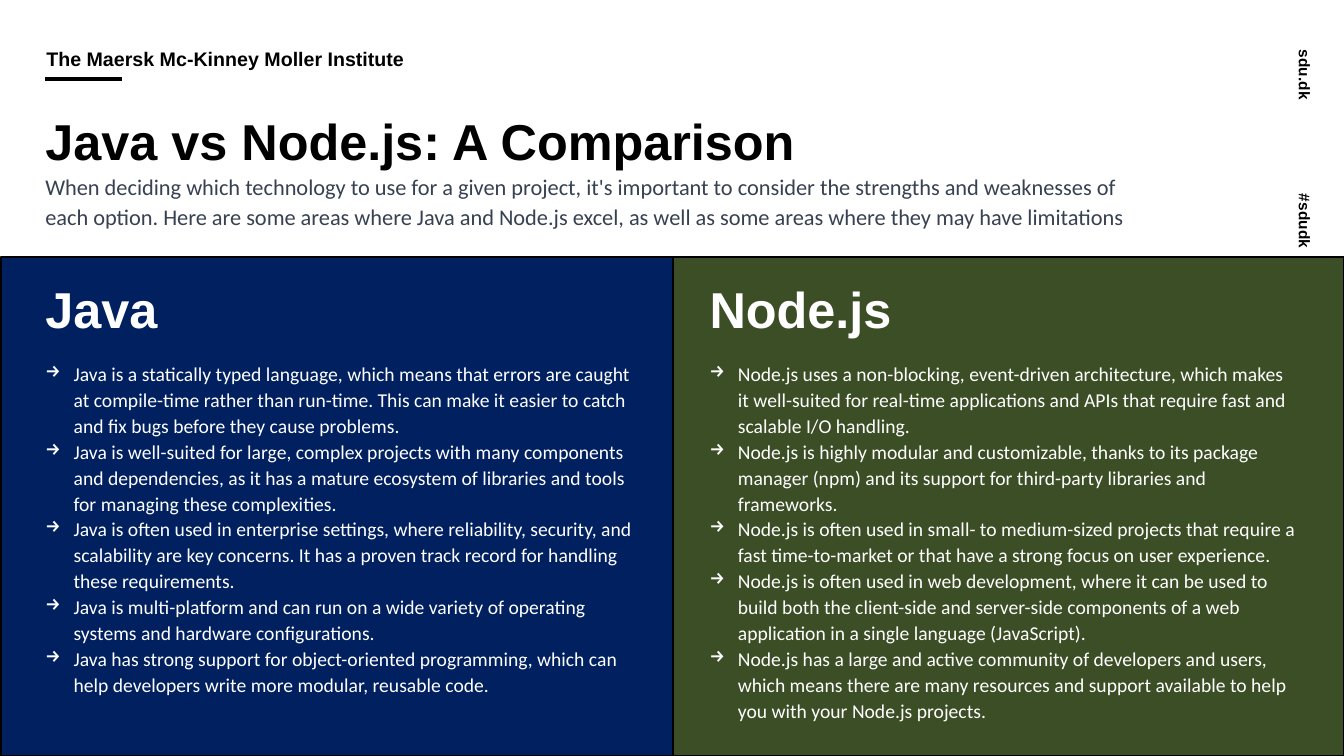
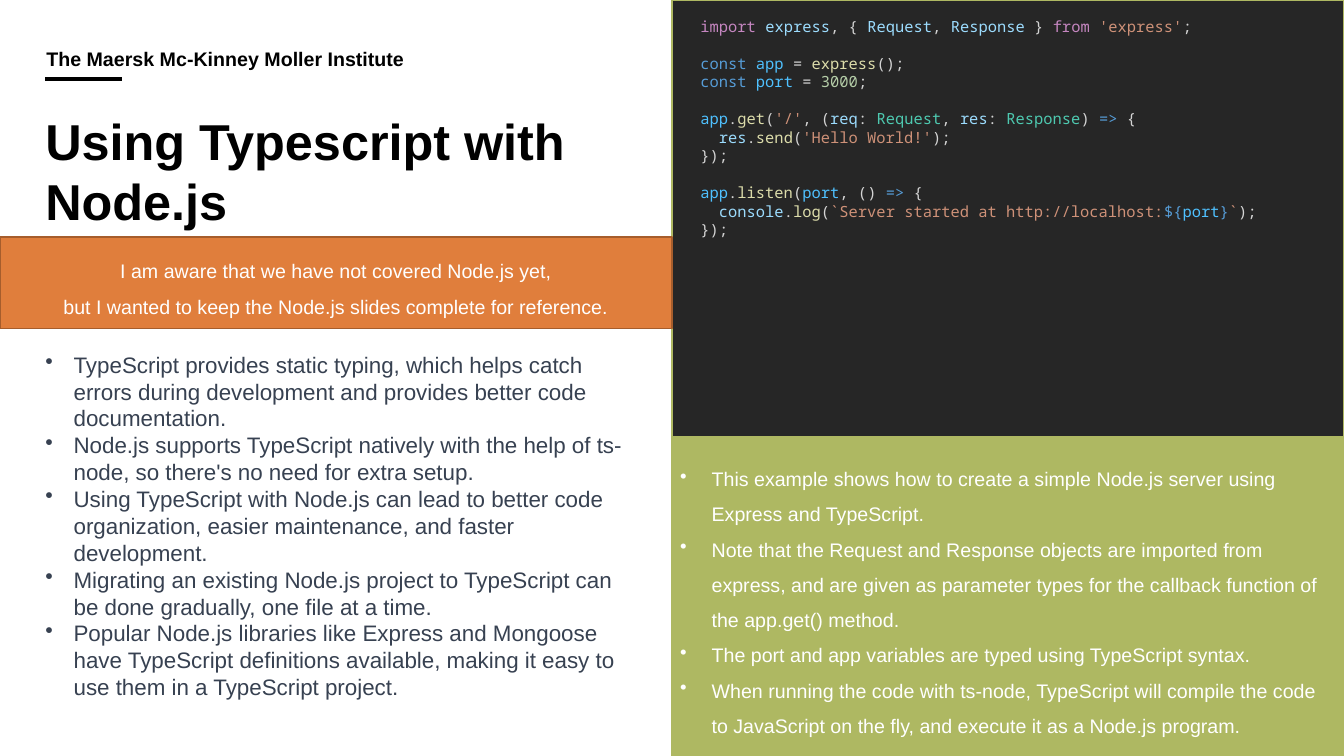
"""Build two slides that compare Java with Node.js and show TypeScript on Node.js."""
from lxml import etree
from pptx import Presentation
from pptx.dml.color import RGBColor
from pptx.enum import shapes, text
from pptx.oxml import ns
from pptx.util import Pt

BLACK = RGBColor(0x00, 0x00, 0x00)
WHITE = RGBColor(0xFF, 0xFF, 0xFF)
SLATE = RGBColor(0x37, 0x41, 0x51)
NAVY = RGBColor(0x00, 0x20, 0x60)
FOREST = RGBColor(0x3C, 0x4E, 0x25)
LIME = RGBColor(0xAE, 0xB8, 0x62)
CHARCOAL = RGBColor(0x26, 0x26, 0x26)
ORANGE = RGBColor(0xE0, 0x7E, 0x3C)
RUST = RGBColor(0xA6, 0x5D, 0x2C)

KEYWORD = RGBColor(0xC5, 0x86, 0xC0)
VARIABLE = RGBColor(0x9C, 0xDC, 0xFE)
PLAIN = RGBColor(0xD4, 0xD4, 0xD4)
STRING = RGBColor(0xCE, 0x91, 0x78)
STORAGE = RGBColor(0x56, 0x9C, 0xD6)
CONSTANT = RGBColor(0x4F, 0xC1, 0xFF)
FUNCTION = RGBColor(0xDC, 0xDC, 0xAA)
NUMBER = RGBColor(0xB5, 0xCE, 0xA8)
CLASS = RGBColor(0x4E, 0xC9, 0xB0)

WIDTH, HEIGHT = 960, 540
HALF = WIDTH / 2
MARGIN = 32.4
COLUMN = 421
LINE_HEIGHT = 1.2
HEADING = dict(size=36, bold=True)
SIDE_LABELS = [("sdu.dk", 56.9), ("#sdudk", 159.8)]

INTRO = ("When deciding which technology to use for a given project, it's important to "
         "consider the strengths and weaknesses of each option. Here are some areas where "
         "Java and Node.js excel, as well as some areas where they may have limitations")

JAVA_POINTS = [
    "Java is a statically typed language, which means that errors are caught at compile-time "
    "rather than run-time. This can make it easier to catch and fix bugs before they cause "
    "problems.",
    "Java is well-suited for large, complex projects with many components and dependencies, "
    "as it has a mature ecosystem of libraries and tools for managing these complexities.",
    "Java is often used in enterprise settings, where reliability, security, and scalability "
    "are key concerns. It has a proven track record for handling these requirements.",
    "Java is multi-platform and can run on a wide variety of operating systems and hardware "
    "configurations.",
    "Java has strong support for object-oriented programming, which can help developers write "
    "more modular, reusable code.",
]

NODE_POINTS = [
    "Node.js uses a non-blocking, event-driven architecture, which makes it well-suited for "
    "real-time applications and APIs that require fast and scalable I/O handling.",
    "Node.js is highly modular and customizable, thanks to its package manager (npm) and its "
    "support for third-party libraries and frameworks.",
    "Node.js is often used in small- to medium-sized projects that require a fast "
    "time-to-market or that have a strong focus on user experience.",
    "Node.js is often used in web development, where it can be used to build both the "
    "client-side and server-side components of a web application in a single language "
    "(JavaScript).",
    "Node.js has a large and active community of developers and users, which means there are "
    "many resources and support available to help you with your Node.js projects.",
]

TYPESCRIPT_POINTS = [
    "TypeScript provides static typing, which helps catch errors during development and "
    "provides better code documentation.",
    "Node.js supports TypeScript natively with the help of ts-node, so there's no need for "
    "extra setup.",
    "Using TypeScript with Node.js can lead to better code organization, easier maintenance, "
    "and faster development.",
    "Migrating an existing Node.js project to TypeScript can be done gradually, one file at a "
    "time.",
    "Popular Node.js libraries like Express and Mongoose have TypeScript definitions "
    "available, making it easy to use them in a TypeScript project.",
]

EXAMPLE_NOTES = [
    "This example shows how to create a simple Node.js server using Express and TypeScript.",
    "Note that the Request and Response objects are imported from express, and are given as "
    "parameter types for the callback function of the app.get() method.",
    "The port and app variables are typed using TypeScript syntax.",
    "When running the code with ts-node, TypeScript will compile the code to JavaScript on "
    "the fly, and execute it as a Node.js program.",
]

NOTICE = [
    "I am aware that we have not covered Node.js yet,",
    "but I wanted to keep the Node.js slides complete for reference.",
]

CODE = [
    [("import ", KEYWORD), ("express", VARIABLE), (", { ", PLAIN), ("Request", VARIABLE),
     (", ", PLAIN), ("Response", VARIABLE), (" } ", PLAIN), ("from ", KEYWORD),
     ("'express'", STRING), (";", PLAIN)],
    [("const ", STORAGE), ("app", CONSTANT), (" = ", PLAIN), ("express", FUNCTION),
     ("();", PLAIN)],
    [("const ", STORAGE), ("port", CONSTANT), (" = ", PLAIN), ("3000", NUMBER), (";", PLAIN)],
    [("app", CONSTANT), (".", PLAIN), ("get", FUNCTION), ("(", PLAIN), ("'/'", STRING),
     (", (", PLAIN), ("req", VARIABLE), (": ", PLAIN), ("Request", CLASS), (", ", PLAIN),
     ("res", VARIABLE), (": ", PLAIN), ("Response", CLASS), (") ", PLAIN), ("=>", STORAGE),
     (" {", PLAIN)],
    [("  res", VARIABLE), (".", PLAIN), ("send", FUNCTION), ("(", PLAIN),
     ("'Hello World!'", STRING), (");", PLAIN)],
    [("});", PLAIN)],
    [("app", CONSTANT), (".", PLAIN), ("listen", FUNCTION), ("(", PLAIN), ("port", CONSTANT),
     (", () ", PLAIN), ("=>", STORAGE), (" {", PLAIN)],
    [("  console", VARIABLE), (".", PLAIN), ("log", FUNCTION), ("(", PLAIN),
     ("`Server started at http://localhost:", STRING), ("${", STORAGE), ("port", CONSTANT),
     ("}", STORAGE), ("`", STRING), (");", PLAIN)],
    [("});", PLAIN)],
]
CODE_GAPS_BEFORE = (1, 3, 6)


def set_bullet(paragraph, mark, indent):
    """Give the paragraph a hanging bullet."""
    properties = paragraph._p.get_or_add_pPr()
    properties.set("marL", str(Pt(indent)))
    properties.set("indent", str(-Pt(indent)))
    etree.SubElement(properties, ns.qn("a:buChar")).set("char", mark)


def write(holder, paragraphs, *, size=14, font="Arial", color=BLACK, bold=False, spacing=1,
          align=text.PP_ALIGN.LEFT, anchor=text.MSO_ANCHOR.TOP, insets=(0, 0, 0, 0),
          bullet=None, indent=20.2, gaps_before=()):
    """Fill a shape with paragraphs, each a string or a list of coloured runs."""
    frame = holder.text_frame
    frame.word_wrap = True
    frame.vertical_anchor = anchor
    (frame.margin_left, frame.margin_top,
     frame.margin_right, frame.margin_bottom) = map(Pt, insets)
    pitch = Pt(size * LINE_HEIGHT * spacing)
    for index, content in enumerate(paragraphs):
        paragraph = frame.add_paragraph() if index else frame.paragraphs[0]
        if bullet:
            set_bullet(paragraph, bullet, indent)
        paragraph.alignment = align
        paragraph.line_spacing = pitch
        if index in gaps_before:
            paragraph.space_before = pitch
        runs = [(content, color)] if isinstance(content, str) else content
        for words, run_color in runs:
            run = paragraph.add_run()
            run.text = words
            run.font.size = Pt(size)
            run.font.name = font
            run.font.bold = bold
            run.font.color.rgb = run_color


def add_text(slide, box, paragraphs, **style):
    """Add a text box and return it."""
    holder = slide.shapes.add_textbox(*map(Pt, box))
    write(holder, paragraphs, **style)
    return holder


def add_panel(slide, box, fill, outline):
    """Add a flat coloured rectangle."""
    panel = slide.shapes.add_shape(shapes.MSO_SHAPE.RECTANGLE, *map(Pt, box))
    panel.shadow.inherit = False
    panel.fill.solid()
    panel.fill.fore_color.rgb = fill
    panel.line.color.rgb = outline
    panel.line.width = Pt(1)
    return panel


def add_slide(deck):
    """Add a blank slide with the institute header and its rule."""
    slide = deck.slides.add_slide(deck.slide_layouts[6])
    rule = slide.shapes.add_connector(shapes.MSO_CONNECTOR.STRAIGHT,
                                      Pt(MARGIN), Pt(56.2), Pt(87.1), Pt(56.2))
    rule.line.color.rgb = BLACK
    rule.line.width = Pt(3)
    etree.SubElement(rule._element.spPr, ns.qn("a:effectLst"))
    add_text(slide, (MARGIN, 35.3, 448, 22.3), ["The Maersk Mc-Kinney Moller Institute"],
             bold=True, spacing=0.9, anchor=text.MSO_ANCHOR.BOTTOM, insets=(0.7, 0, 0, 7.2))
    return slide


def add_title(slide, title, width, height):
    """Add the slide title."""
    add_text(slide, (MARGIN, 78.5, width, height), [title], **HEADING)


def build_comparison(deck):
    """Build the slide that sets Java beside Node.js."""
    slide = add_slide(deck)
    for label, top in SIDE_LABELS:
        side = add_text(slide, (904.3, top, 72, 29.5), [label], size=11, bold=True,
                        anchor=text.MSO_ANCHOR.BOTTOM)
        side.rotation = 90
    add_title(slide, "Java vs Node.js: A Comparison", 862, 55)
    add_text(slide, (MARGIN, 121.7, 795, 62), [INTRO],
             size=16, font="Calibri", color=SLATE, spacing=1.1)
    top = 183.6
    columns = [(HALF, 506.9, FOREST, "Node.js", NODE_POINTS),
               (0.7, MARGIN, NAVY, "Java", JAVA_POINTS)]
    for panel_left, left, fill, name, points in columns:
        add_panel(slide, (panel_left, top, HALF, HEIGHT - top), fill, BLACK)
        add_text(slide, (left, 198.7, COLUMN, 55), [name], color=WHITE, **HEADING)
        add_text(slide, (left, 257, COLUMN, HEIGHT - 257), points,
                 font="Calibri", color=WHITE, spacing=1.1, bullet="→")


def build_typescript(deck):
    """Build the slide on TypeScript with its code example."""
    slide = add_slide(deck)
    middle = dict(color=WHITE, spacing=1.5, anchor=text.MSO_ANCHOR.MIDDLE, insets=(5.8,) * 4)
    add_panel(slide, (HALF, 0, HALF, HEIGHT), CHARCOAL, LIME)
    add_title(slide, "Using Typescript with Node.js", 432, 95)
    add_text(slide, (493.2, 8.6, 453.6, 167), CODE, size=11, font="Noto Sans Mono",
             insets=(7.2, 3.6, 7.2, 3.6), gaps_before=CODE_GAPS_BEFORE)
    notes = add_panel(slide, (HALF, 311.8, HALF, HEIGHT - 311.8), LIME, LIME)
    write(notes, EXAMPLE_NOTES, bullet="•", indent=22.5, **middle)
    add_text(slide, (MARGIN, 250.6, COLUMN, 251), TYPESCRIPT_POINTS,
             size=16, color=SLATE, bullet="•")
    notice = add_panel(slide, (0, 169.2, HALF, 65.5), ORANGE, RUST)
    write(notice, NOTICE, align=text.PP_ALIGN.CENTER, **middle)


def main():
    """Create and save the deck."""
    deck = Presentation()
    deck.slide_width, deck.slide_height = Pt(WIDTH), Pt(HEIGHT)
    build_comparison(deck)
    build_typescript(deck)
    deck.save("out.pptx")


if __name__ == "__main__":
    main()
